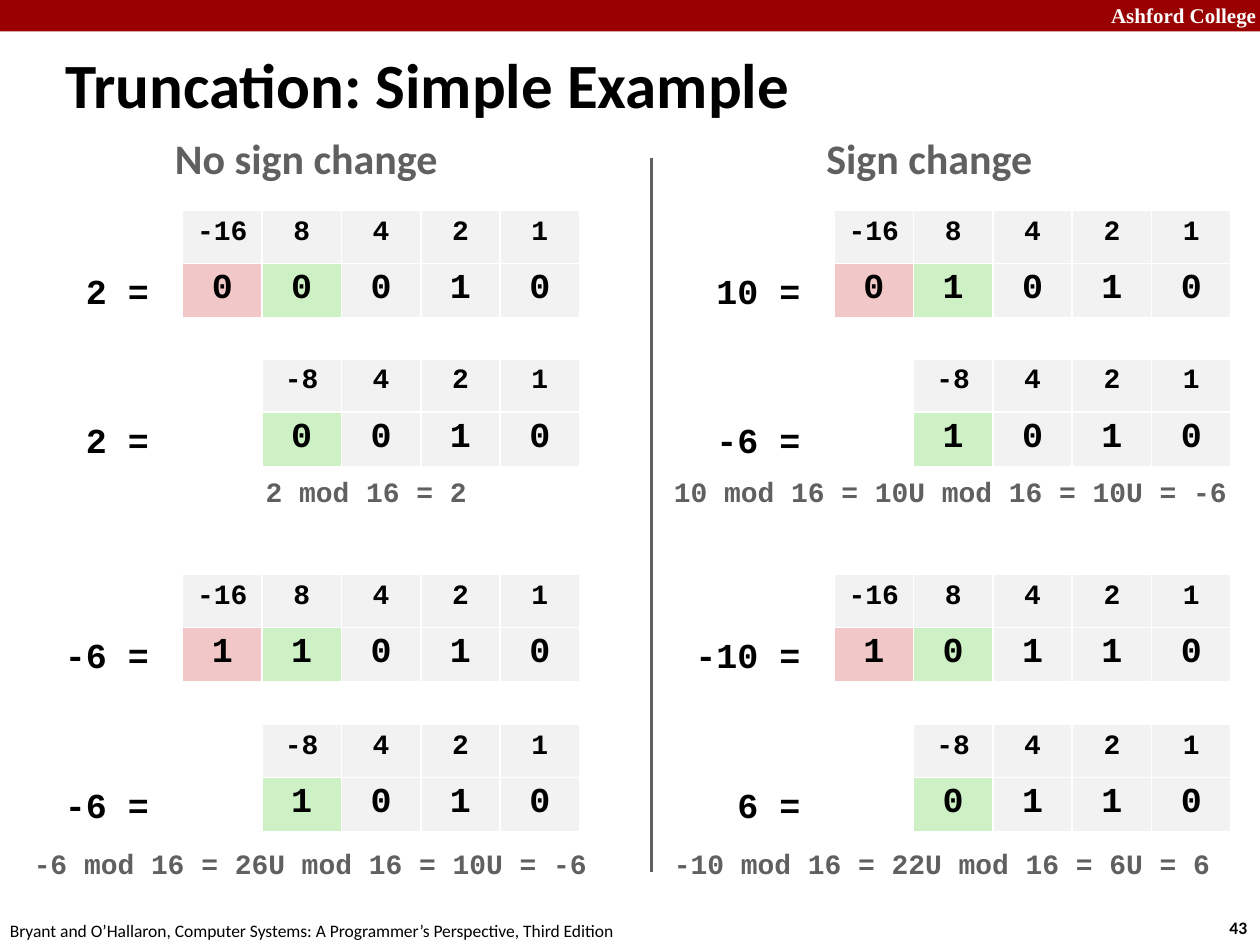
import pptx
import pptx.dml.color
import pptx.enum.shapes
import pptx.enum.text
import pptx.util
from lxml import etree

Inches = pptx.util.Inches
ALIGN = pptx.enum.text.PP_ALIGN
ANCHOR = pptx.enum.text.MSO_ANCHOR

COLORS = {
    "banner": "990000",
    "white": "FFFFFF",
    "black": "000000",
    "gray": "606060",
    "cell": "F2F2F2",
    "dropped": "F1C7C7",
    "sign": "CDF1C5",
}
CODE = "Courier New"
COLUMN_WIDTH = 0.63
ROW_HEIGHT = 0.42
TABLE_LEFT = 1.45
TABLE_TOPS = [1.67, 2.85, 4.56, 5.75]
NOTE_TOPS = [3.72, 6.67]
WEIGHTS = [["-16", "8", "4", "2", "1"], ["", "-8", "4", "2", "1"]]

PANELS = [
    {
        "left": 0,
        "heading": "No sign change",
        "heading_width": 2.31,
        "numbers": [("2 =", "00010"), ("2 =", "0010"), ("-6 =", "11010"), ("-6 =", "1010")],
        "notes": [(2.01, "2 mod 16 = 2"), (0.17, "-6 mod 16 = 26U mod 16 = 10U = -6")],
    },
    {
        "left": 5.17,
        "heading": "Sign change",
        "heading_width": 1.85,
        "numbers": [("10 =", "01010"), ("-6 =", "1010"), ("-10 =", "10110"), ("6 =", "0110")],
        "notes": [
            (0.08, "10 mod 16 = 10U mod 16 = 10U = -6"),
            (0.08, "-10 mod 16 = 22U mod 16 = 6U = 6"),
        ],
    },
]


def rgb(name):
    return pptx.dml.color.RGBColor.from_string(COLORS[name])


def write_text(frame, text, size=10, font="Calibri", color="black", bold=True, align=ALIGN.LEFT):
    paragraph = frame.paragraphs[0]
    paragraph.alignment = align
    run = paragraph.add_run()
    run.text = text
    run.font.size = pptx.util.Pt(size)
    run.font.name = font
    run.font.bold = bold
    run.font.color.rgb = rgb(color)


def add_text(slide, box, text, anchor=ANCHOR.TOP, wrap=False, **text_format):
    shape = slide.shapes.add_textbox(*map(Inches, box))
    shape.text_frame.word_wrap = wrap
    shape.text_frame.vertical_anchor = anchor
    write_text(shape.text_frame, text, **text_format)


def add_banner(slide, box):
    left, top, width, height = box
    banner = slide.shapes.add_shape(
        pptx.enum.shapes.MSO_SHAPE.RECTANGLE, *map(Inches, box)
    )
    banner.shadow.inherit = False
    banner.fill.solid()
    banner.fill.fore_color.rgb = rgb("banner")
    banner.line.fill.background()
    add_text(slide, (left + width - 1.36, top - 0.03, 1.43, 0.3), "Ashford College",
             size=12, font="Times New Roman", color="white", align=ALIGN.RIGHT)


def add_footer(slide, box):
    left, top, width, height = box
    add_text(slide, (left + width - 0.34, top - 0.02, 0.37, height), "43")
    add_text(slide, (left - 0.02, top, 5.08, height),
             "Bryant and O’Hallaron, Computer Systems: A Programmer’s Perspective, Third Edition",
             bold=False)


def add_bit_table(slide, box, weights, bits):
    table = slide.shapes.add_table(2, len(weights), *map(Inches, box)).table
    for column in table.columns:
        column.width = Inches(COLUMN_WIDTH)
    for row, values, size in zip(table.rows, (weights, bits), (16, 20)):
        row.height = Inches(ROW_HEIGHT)
        for index, (cell, value) in enumerate(zip(row.cells, values)):
            fill = "cell" if value else "white"
            if values is bits and value and index < 2:
                fill = ("dropped", "sign")[index]
            cell.fill.solid()
            cell.fill.fore_color.rgb = rgb(fill)
            if value:
                write_text(cell.text_frame, value, size=size, font=CODE, align=ALIGN.CENTER)


def add_number(slide, box, label, bits):
    left, top, width, height = box
    weights = WEIGHTS[5 - len(bits)]
    padded_bits = [""] * (5 - len(bits)) + list(bits)
    label_width = 0.2 + (len(label) + 1) / 6
    add_text(slide, (left - label_width, top + 0.42, label_width, 0.44), label,
             size=20, font=CODE)
    add_bit_table(slide, box, weights, padded_bits)


def add_panel(slide, left, heading, heading_width, numbers, notes):
    add_text(slide, (left + 1.29, 1, heading_width, 0.5), heading, size=24, color="gray")
    for top, (label, bits) in zip(TABLE_TOPS, numbers):
        box = (left + TABLE_LEFT, top, 5 * COLUMN_WIDTH, 2 * ROW_HEIGHT)
        add_number(slide, box, label, bits)
    for top, (offset, note) in zip(NOTE_TOPS, notes):
        box = (left + offset, top, 0.2 + len(note) * 2 / 15, 0.37)
        add_text(slide, box, note, size=16, font=CODE, color="gray")


def add_divider(slide, x, top, bottom):
    line = slide.shapes.add_connector(
        pptx.enum.shapes.MSO_CONNECTOR.STRAIGHT, *map(Inches, (x, top, x, bottom))
    )
    line.line.color.rgb = rgb("gray")
    line.line.width = pptx.util.Pt(2)
    etree.SubElement(line._element.spPr, pptx.oxml.ns.qn("a:effectLst"))


def main():
    presentation = pptx.Presentation()
    presentation.slide_width = Inches(10)
    presentation.slide_height = Inches(7.5)
    slide = presentation.slides.add_slide(presentation.slide_layouts[6])
    add_banner(slide, (0, 0, 10, 0.25))
    add_footer(slide, (0, 7.25, 10, 0.27))
    add_text(slide, (0.42, 0.35, 9.58, 0.63), "Truncation: Simple Example",
             size=36, anchor=ANCHOR.MIDDLE, wrap=True)
    add_divider(slide, 5.17, 1.25, 6.92)
    for panel in PANELS:
        add_panel(slide, **panel)
    presentation.save("out.pptx")


if __name__ == "__main__":
    main()
